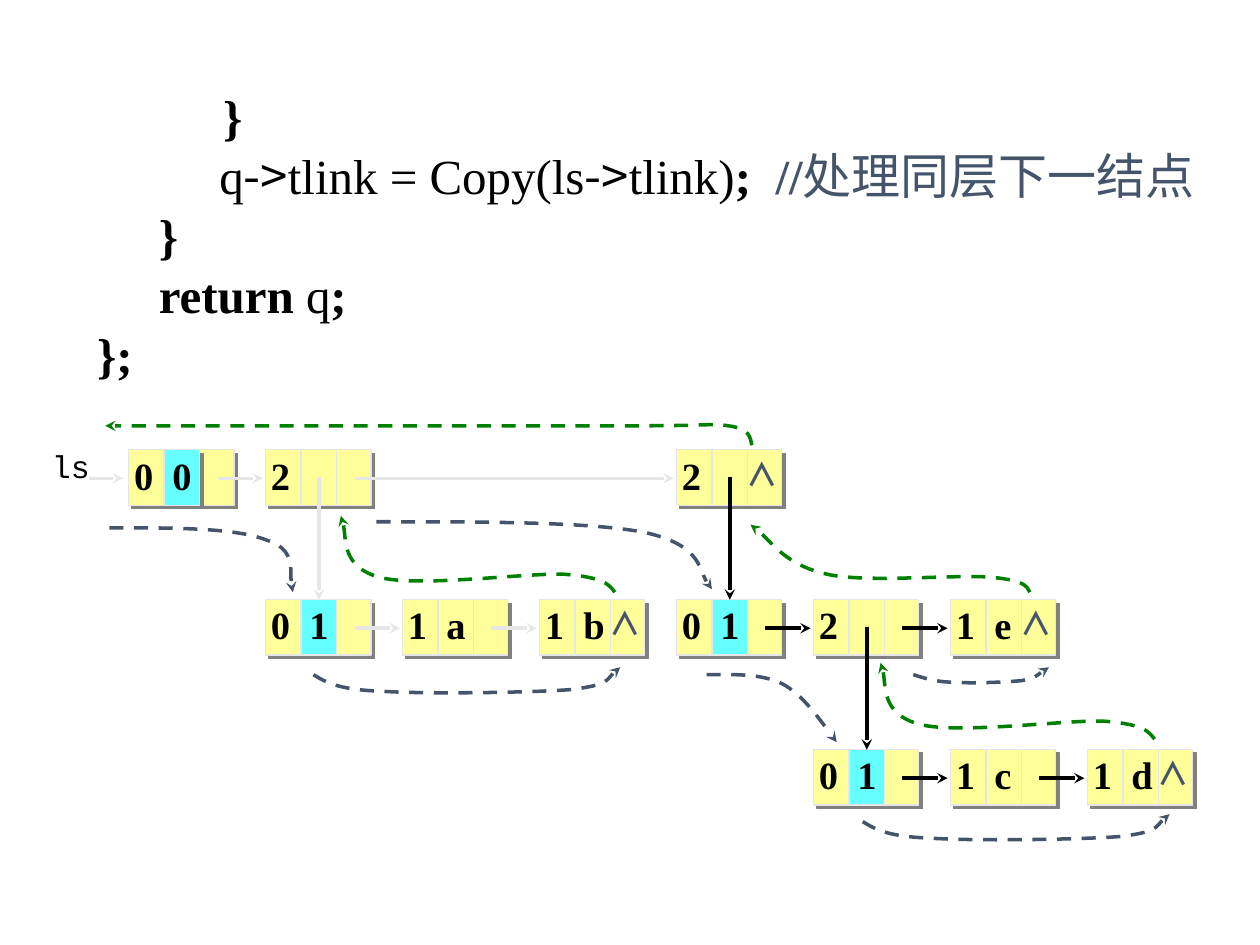
from lxml import etree
from pptx import Presentation
from pptx.dml.color import RGBColor
from pptx.enum.dml import MSO_LINE
from pptx.enum.shapes import MSO_CONNECTOR, MSO_SHAPE
from pptx.enum.text import PP_ALIGN
from pptx.oxml.ns import qn
from pptx.util import Inches, Pt

BLACK = RGBColor(0x00, 0x00, 0x00)
SLATE = RGBColor(0x44, 0x54, 0x6A)
GREEN = RGBColor(0x00, 0x80, 0x00)
PALE = RGBColor(0xE7, 0xE6, 0xE6)
YELLOW = RGBColor(0xFF, 0xFF, 0x99)
CYAN = RGBColor(0x66, 0xFF, 0xFF)
SERIF, SANS, MONO = "Times New Roman", "Noto Sans CJK SC", "Courier New"

# Grid: one column per list node, one row per nesting level.
LEFT, TOP = 1.02, 3.57
COL, ROW = (8.63 - LEFT) / 7, 1.19
NODE_W, CELL_W, NODE_H = 0.77, 0.26, 0.37


def add_run(p, text, size=28, font=SERIF, color=BLACK, bold=False):
    r = p.add_run()
    r.text = text
    r.font.size, r.font.name, r.font.bold = Pt(size), font, bold
    r.font.color.rgb = color


class Diagram:
    """Draws list nodes and links; all lengths are grid columns and rows."""

    def __init__(self, slide):
        self.s = slide

    def x(self, col):
        return Inches(LEFT + col * COL)

    def y(self, row):
        return Inches(TOP + row * ROW)

    def frame(self, col, row, w, h):
        return self.x(col), self.y(row), Inches(w * COL), Inches(h * ROW)

    def textbox(self, col, row, w, h):
        tf = self.s.shapes.add_textbox(*self.frame(col, row, w, h)).text_frame
        tf.word_wrap = True
        return tf

    def label(self, col, row, w, text, **style):
        p = self.textbox(col, row, w, 0.5).paragraphs[0]
        p.alignment = PP_ALIGN.JUSTIFY
        add_run(p, text, **style)

    def box(self, col, row, w, fill, shadow):
        sp = self.s.shapes.add_shape(MSO_SHAPE.RECTANGLE,
                                     *self.frame(col, row, w, NODE_H))
        sp.fill.solid()
        sp.fill.fore_color.rgb = fill
        sp.line.color.rgb = PALE
        sp.line.width = Pt(0.75)
        sp.shadow.inherit = False
        if shadow:
            effects = sp._element.spPr.find(qn("a:effectLst"))
            outer = etree.SubElement(effects, qn("a:outerShdw"),
                                     dist=str(Pt(2.8)), dir="2700000",
                                     algn="ctr", rotWithShape="0")
            etree.SubElement(outer, qn("a:srgbClr"), val="808080")

    def node(self, col, row, text, fill=YELLOW, last=False, cell_shadow=False):
        self.box(col, row, NODE_W, YELLOW, True)
        self.box(col + CELL_W, row, CELL_W, fill, cell_shadow)
        self.label(col - 0.05, row - 0.03, 0.72, text, size=22, bold=True)
        if last:
            self.label(col + 0.42, row - 0.01, 0.48, "∧", size=18,
                       font=SANS, color=SLATE, bold=True)

    def style_arrow(self, sp, color):
        sp.line.color.rgb = color
        sp.line.width = Pt(2)
        etree.SubElement(sp.line._get_or_add_ln(), qn("a:tailEnd"),
                         type="stealth")

    def arrow(self, start, end, color):
        line = self.s.shapes.add_connector(
            MSO_CONNECTOR.STRAIGHT, self.x(start[0]), self.y(start[1]),
            self.x(end[0]), self.y(end[1]))
        self.style_arrow(line, color)
        etree.SubElement(line._element.spPr, qn("a:effectLst"))

    def next_link(self, col, row, to_col, color):
        self.arrow((col + 0.65, row + 0.19), (to_col - 0.02, row + 0.19), color)

    def down_link(self, col, row, color):
        self.arrow((col + 0.39, row + 0.18), (col + 0.39, row + 1), color)

    def curve(self, points, color, shift=(0, 0)):
        """Dashed arrow: a start point, then three Bezier points a segment."""
        pts = [(self.x(c + shift[0]), self.y(r + shift[1])) for c, r in points]
        builder = self.s.shapes.build_freeform(*pts[0])
        builder.add_line_segments(pts[1:], close=False)
        sp = builder.convert_to_shape()
        sp.fill.background()
        sp.shadow.inherit = False
        sp.line.dash_style = MSO_LINE.DASH
        self.style_arrow(sp, color)
        path = sp._element.spPr.find(".//" + qn("a:path"))
        steps = path.findall(qn("a:lnTo"))
        for i in range(0, len(steps), 3):
            bezier = etree.SubElement(path, qn("a:cubicBezTo"))
            for step in steps[i:i + 3]:
                bezier.append(step[0])
                path.remove(step)

    def code(self, lines):
        tf = self.textbox(-0.32, -2.47, 8.48, 2.12)
        for i, (indent, runs) in enumerate(lines):
            p = tf.add_paragraph() if i else tf.paragraphs[0]
            p.line_spacing = Pt(34)
            p._p.get_or_add_pPr().set("marL", str(Inches(indent)))
            for text, style in runs:
                add_run(p, text, **style)


BOLD, PLAIN, SYMBOL = {"bold": True}, {}, {"font": SANS}
CODE = [
    (1, [("}", BOLD)]),
    (0.97, [("q", PLAIN), ("->", SYMBOL), ("tlink = Copy(ls", PLAIN),
            ("->", SYMBOL), ("tlink)", PLAIN), (";  ", BOLD),
            ("//", {"bold": True, "color": SLATE}),
            ("处理同层下一结点", {"color": SLATE})]),
    (0.49, [("}", BOLD)]),
    (0.49, [("return ", BOLD), ("q", PLAIN), (";", BOLD)]),
    (0, [("};", BOLD)]),
]
NODES = [  # column, row, text, fill of the middle cell, last in its list
    (1, 0, "2", YELLOW, False), (4, 0, "2", YELLOW, True),
    (1, 1, "0  1", CYAN, False), (2, 1, "1  a", YELLOW, False),
    (3, 1, "1  b", YELLOW, True), (4, 1, "0  1", CYAN, False),
    (5, 1, "2", YELLOW, False), (6, 1, "1  e", YELLOW, True),
    (5, 2, "0  1", CYAN, False), (6, 2, "1  c", YELLOW, False),
    (7, 2, "1  d", YELLOW, True),
]
NEXT_LINKS = [
    (0, 0, 1, PALE), (1, 0, 4, PALE), (1, 1, 2, PALE), (2, 1, 3, PALE),
    (4, 1, 5, BLACK), (5, 1, 6, BLACK), (5, 2, 6, BLACK), (6, 2, 7, BLACK),
]
DOWN_LINKS = [(1, 0, PALE), (4, 0, BLACK), (5, 1, BLACK)]

SCAN = [(1.35, 1.5), (1.44, 1.55), (1.53, 1.6), (1.84, 1.61), (2.15, 1.63),
        (2.93, 1.62), (3.22, 1.6), (3.51, 1.57), (3.52, 1.49), (3.59, 1.45)]
RETURN = [(3.55, 0.95), (3.51, 0.9), (3.47, 0.85), (3.18, 0.83), (2.9, 0.82),
          (2.11, 0.92), (1.83, 0.85), (1.56, 0.78), (1.59, 0.5), (1.55, 0.44)]
ENTER_FIRST = [(-0.14, 0.52), (0.32, 0.52), (0.78, 0.52), (1, 0.6),
               (1.22, 0.66), (1.17, 0.88), (1.2, 0.95)]
ENTER_SECOND = [(1.81, 0.48), (2.59, 0.48), (3.36, 0.48), (3.76, 0.55),
                (4.17, 0.63), (4.18, 0.87), (4.26, 0.93)]
ENTER_INNER = [(4.22, 1.5), (4.42, 1.5), (4.61, 1.49), (4.77, 1.56),
               (4.92, 1.63), (5.11, 1.88), (5.17, 1.95)]
SCAN_SHORT = [(5.73, 1.5), (5.8, 1.52), (5.89, 1.55), (6.02, 1.55),
              (6.15, 1.56), (6.4, 1.55), (6.52, 1.54), (6.63, 1.52),
              (6.68, 1.47), (6.72, 1.45)]
RETURN_SECOND = [(6.58, 0.95), (6.56, 0.91), (6.54, 0.87), (6.29, 0.85),
                 (6.04, 0.83), (5.38, 0.89), (5.1, 0.83), (4.8, 0.77),
                 (4.64, 0.55), (4.54, 0.5)]
RETURN_ALL = [(4.55, -0.03), (4.54, -0.08), (4.54, -0.14), (4.38, -0.16),
              (4.22, -0.18), (4.39, -0.16), (3.62, -0.16), (2.87, -0.16),
              (0.46, -0.16), (-0.17, -0.16)]


def main():
    prs = Presentation()
    prs.slide_width, prs.slide_height = Inches(10), Inches(7.5)
    d = Diagram(prs.slides.add_slide(prs.slide_layouts[6]))
    d.code(CODE)
    d.node(0, 0, "0  0", fill=CYAN, cell_shadow=True)
    for node in NODES:
        d.node(*node)
    d.label(-0.65, -0.06, 0.59, "ls", size=18, font=MONO)
    d.arrow((-0.29, 0.19), (-0.04, 0.19), PALE)
    for link in NEXT_LINKS:
        d.next_link(*link)
    for link in DOWN_LINKS:
        d.down_link(*link)
    for points in (ENTER_FIRST, SCAN, ENTER_SECOND, ENTER_INNER, SCAN_SHORT):
        d.curve(points, SLATE)
    d.curve(SCAN, SLATE, shift=(4.01, 0.98))
    for points in (RETURN, RETURN_SECOND, RETURN_ALL):
        d.curve(points, GREEN)
    d.curve(RETURN, GREEN, shift=(3.94, 0.98))
    prs.save("out.pptx")


if __name__ == "__main__":
    main()
